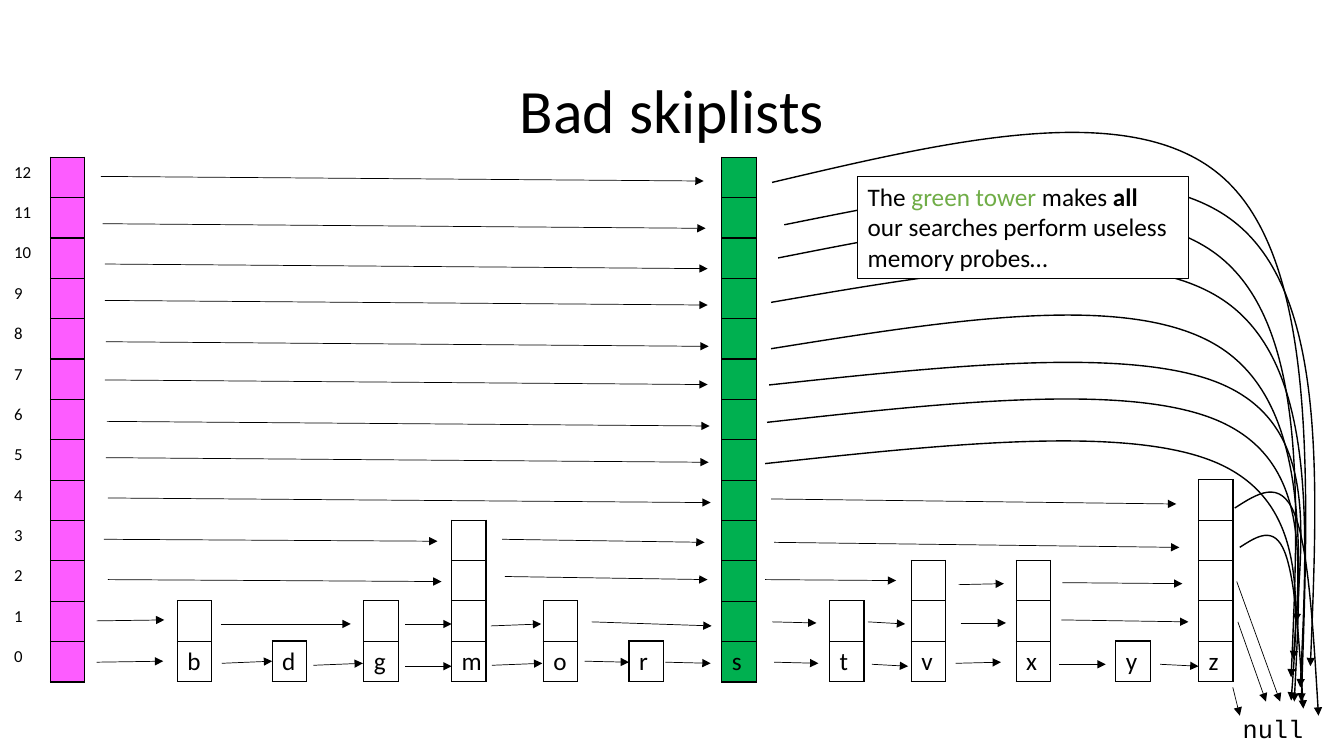
"""Build the "Bad skiplists" slide: towers, level arrows and null pointers."""
from dataclasses import dataclass
from typing import Any, NamedTuple, Optional

from lxml import etree
from pptx import Presentation
from pptx.dml import color
from pptx.enum import shapes, text
from pptx.oxml import ns
from pptx.util import Pt


@dataclass(frozen=True)
class Theme:
    ink: color.RGBColor = color.RGBColor(0, 0, 0)
    paper: color.RGBColor = color.RGBColor(255, 255, 255)
    head: color.RGBColor = color.RGBColor(0xFD, 0x5C, 0xFF)
    bad: color.RGBColor = color.RGBColor(0x00, 0xB0, 0x50)
    accent: color.RGBColor = color.RGBColor(0x70, 0xAD, 0x47)
    sans: str = "Calibri"
    mono: str = "Courier New"
    title: float = 44
    body: float = 18
    level: float = 12
    thin: float = 0.5
    frame: float = 0.75
    thick: float = 1


class Point(NamedTuple):
    x: float
    y: float


class Box(NamedTuple):
    left: float
    top: float
    width: float
    height: float


class Tower(NamedTuple):
    key: str
    left: float
    levels: int
    fill: Optional[color.RGBColor] = None


class Arrow(NamedTuple):
    x1: float
    y1: float
    x2: float
    y2: float


class Arc(NamedTuple):
    start: Point
    rise: Point
    fall: Point
    end: Point


THEME = Theme()
LEVELS, CELL_HEIGHT, CELL_WIDTH, BASE = 13, 28.8, 24.6, 486.7
LABEL_LEFT, LABEL_WIDTH = 2.9, 33.1
SIDES = ("a:lnL", "a:lnR", "a:lnT", "a:lnB")

TOWERS = [
    Tower("b", 126.7, 2), Tower("d", 194.4, 1), Tower("g", 259.9, 2),
    Tower("m", 322.6, 4), Tower("o", 388.1, 2), Tower("r", 449.3, 1),
    Tower("s", 515.5, LEVELS, THEME.bad), Tower("t", 592.6, 2),
    Tower("v", 650.9, 3), Tower("x", 725.8, 3), Tower("y", 797, 1),
    Tower("z", 856.1, 5),
]
LEVEL_0 = [
    Arrow(69.1, 473, 116.6, 472.3), Arrow(158.4, 473.8, 194.4, 472.3),
    Arrow(223.9, 475.2, 259.2, 473.8), Arrow(289.4, 475.9, 322.6, 475.9),
    Arrow(351.4, 475.2, 387.4, 473.8), Arrow(417.6, 472.3, 449.3, 473),
    Arrow(475.2, 473, 507.6, 473.8), Arrow(553, 473, 584.6, 473.8),
    Arrow(622.8, 474.5, 648.7, 475.9), Arrow(682.6, 473.8, 715, 473),
    Arrow(756.7, 474.5, 789.8, 474.5), Arrow(828.7, 474.5, 856.1, 475.9),
]
LEVEL_1 = [
    Arrow(69.1, 443.5, 117.4, 442.8), Arrow(157.7, 445.7, 250.6, 445.7),
    Arrow(289.4, 445.7, 322.6, 445.7), Arrow(350.6, 447.1, 386.6, 445.7),
    Arrow(422.6, 444.2, 508.3, 447.1), Arrow(551.5, 444.2, 583.2, 445),
    Arrow(619.9, 444.2, 646.6, 445.7), Arrow(686.2, 445, 718.6, 445),
    Arrow(758.2, 442.8, 848.9, 444.2),
]
LEVELS_2_TO_4 = [
    Arrow(77, 414, 315.4, 415.4), Arrow(360.7, 411.8, 505.4, 414),
    Arrow(546.5, 414, 640.1, 414.7), Arrow(684.7, 417.6, 717.1, 416.9),
    Arrow(758.9, 416.2, 844.6, 416.9), Arrow(74.2, 385.2, 312.5, 386.6),
    Arrow(358.6, 385.2, 503.3, 387.4), Arrow(553, 387.4, 842.4, 391),
    Arrow(550.8, 356.4, 840.2, 360),
]
Z_TO_NULL = [
    Arrow(880.6, 491, 885.6, 511.2), Arrow(884.2, 444.2, 904.3, 501.1),
    Arrow(883.4, 415.4, 914.4, 501.1),
]
EXPRESS_RUN = Point(430.6, 3.3)
EXPRESS_STARTS = [
    Point(77, 355.7), Point(75.6, 326.9), Point(76.3, 301), Point(74.9, 271.4),
    Point(75.6, 244.1), Point(74.9, 214.6), Point(74.9, 188.6),
    Point(73.4, 159.8), Point(72, 126),
]
EXPRESS = [Arrow(x, y, x + EXPRESS_RUN.x, y + EXPRESS_RUN.y) for x, y in EXPRESS_STARTS]
ARCS = [
    Arc(Point(885.6, 391), Point(910.1, 375.1), Point(925.2, 413.3), Point(931, 506.2)),
    Arc(Point(882, 362.9), Point(914.4, 342), Point(934.6, 391), Point(941.8, 511.2)),
    Arc(Point(546.5, 331.2), Point(807.8, 303.1), Point(933.1, 359.3), Point(922.3, 500.4)),
    Arc(Point(547.9, 301.7), Point(809.3, 272.9), Point(934.6, 329.8), Point(923.8, 470.9)),
    Arc(Point(549.4, 275), Point(811.4, 247), Point(936.7, 303.1), Point(925.9, 444.2)),
    Arc(Point(550.8, 249.1), Point(810.7, 207.4), Point(935.3, 290.9), Point(924.5, 501.1)),
    Arc(Point(550.8, 216), Point(813.6, 170.6), Point(939.6, 262.1), Point(928.8, 491)),
    Arc(Point(555.8, 184.3), Point(810.7, 133.9), Point(933.1, 234), Point(922.3, 483.8)),
    Arc(Point(560.2, 160.6), Point(821.5, 108), Point(946.8, 213.1), Point(936, 475.9)),
    Arc(Point(551.5, 130.3), Point(814.3, 68.4), Point(940.3, 192.2), Point(929.5, 501.1)),
]


def assign(target: Any, values: dict[str, Any]) -> None:
    for name, value in values.items():
        setattr(target, name, value)


def write(paragraph: Any, words: str, size: float, ink: color.RGBColor = THEME.ink,
          face: str = THEME.sans, bold: bool = False) -> None:
    run = paragraph.add_run()
    run.text = words
    assign(run.font, {"size": Pt(size), "name": face, "bold": bold})
    run.font.color.rgb = ink


def stroke(line: Any, width: float) -> None:
    line.color.rgb = THEME.ink
    line.width = Pt(width)


def point_to(shape: Any) -> None:
    outline = shape.line._get_or_add_ln()
    etree.SubElement(outline, ns.qn("a:tailEnd"), type="triangle")


def style_cell(cell: Any, words: str, size: float, fill: Optional[color.RGBColor],
               sides: tuple[str, ...] = SIDES) -> None:
    properties = cell._tc.get_or_add_tcPr()
    for side in sides:
        border = etree.SubElement(properties, ns.qn(side), w=str(Pt(THEME.thick)))
        solid = etree.SubElement(border, ns.qn("a:solidFill"))
        etree.SubElement(solid, ns.qn("a:srgbClr"), val=str(THEME.ink))
    if fill is None:
        cell.fill.background()
    else:
        cell.fill.solid()
        cell.fill.fore_color.rgb = fill
    if words:
        write(cell.text_frame.paragraphs[0], words, size)


def add_grid(slide: Any, left: float, levels: int, widths: list[float]) -> Any:
    height = levels * CELL_HEIGHT
    grid = slide.shapes.add_table(levels, len(widths), Pt(left), Pt(BASE - height),
                                  Pt(sum(widths)), Pt(height)).table
    assign(grid, {"first_row": False, "horz_banding": False})
    for column, width in zip(grid.columns, widths):
        column.width = Pt(width)
    return grid


def draw_head(slide: Any) -> None:
    grid = add_grid(slide, LABEL_LEFT, LEVELS, [LABEL_WIDTH, CELL_WIDTH])
    for row in range(LEVELS):
        style_cell(grid.cell(row, 0), str(LEVELS - 1 - row), THEME.level, None, ("a:lnR",))
        style_cell(grid.cell(row, 1), "", THEME.body, THEME.head)


def draw_tower(slide: Any, tower: Tower) -> None:
    grid = add_grid(slide, tower.left, tower.levels, [CELL_WIDTH])
    for row in range(tower.levels):
        key = tower.key if row == tower.levels - 1 else ""
        style_cell(grid.cell(row, 0), key, THEME.body, tower.fill)


def draw_arrow(slide: Any, arrow: Arrow) -> None:
    link = slide.shapes.add_connector(shapes.MSO_CONNECTOR.STRAIGHT, *map(Pt, arrow))
    stroke(link.line, THEME.thin)
    point_to(link)
    etree.SubElement(link._element.spPr, ns.qn("a:effectLst"))


def midpoint(a: Point, b: Point) -> Point:
    return Point((a.x + b.x) / 2, (a.y + b.y) / 2)


def bezier(a: Point, b: Point, c: Point, d: Point, t: float) -> Point:
    s = 1 - t
    weights = (s**3, 3 * s * s * t, 3 * s * t * t, t**3)
    return Point(*(sum(w * v for w, v in zip(weights, axis)) for axis in zip(a, b, c, d)))


def draw_arc(slide: Any, arc: Arc) -> None:
    crest = midpoint(arc.rise, arc.fall)
    halves = [(arc.start, midpoint(arc.start, arc.rise), arc.rise, crest),
              (crest, arc.fall, midpoint(arc.fall, arc.end), arc.end)]
    trace = [bezier(*half, step / 20) for half in halves for step in range(1, 21)]
    builder = slide.shapes.build_freeform(Pt(arc.start.x), Pt(arc.start.y))
    builder.add_line_segments([(Pt(x), Pt(y)) for x, y in trace], close=False)
    curve = builder.convert_to_shape()
    outline = curve._element.find(".//" + ns.qn("a:path"))
    for segment in outline.findall(ns.qn("a:lnTo")):
        outline.remove(segment)
    for half in halves:
        segment = etree.SubElement(outline, ns.qn("a:cubicBezTo"))
        for x, y in half[1:]:
            etree.SubElement(segment, ns.qn("a:pt"),
                             x=str(Pt(x) - curve.left), y=str(Pt(y) - curve.top))
    curve.fill.background()
    curve.shadow.inherit = False
    stroke(curve.line, THEME.thick)
    point_to(curve)


def add_words(slide: Any, box: Box, frame_format: dict[str, Any]) -> Any:
    holder = slide.shapes.add_textbox(*map(Pt, box))
    assign(holder.text_frame, {"word_wrap": True, **frame_format})
    return holder


def draw_callout(slide: Any) -> None:
    callout = add_words(slide, Box(612.7, 126, 236.2, 72.7),
                        {"auto_size": text.MSO_AUTO_SIZE.SHAPE_TO_FIT_TEXT})
    callout.fill.solid()
    callout.fill.fore_color.rgb = THEME.paper
    stroke(callout.line, THEME.frame)
    message = callout.text_frame.paragraphs[0]
    write(message, "The ", THEME.body)
    write(message, "green tower ", THEME.body, THEME.accent)
    write(message, "makes ", THEME.body)
    write(message, "all ", THEME.body, bold=True)
    write(message, "our searches perform useless memory probes…", THEME.body)


def main() -> None:
    deck = Presentation()
    assign(deck, {"slide_width": Pt(960), "slide_height": Pt(540)})
    slide = deck.slides.add_slide(deck.slide_layouts[6])
    title = add_words(slide, Box(66.2, 28.8, 828, 104.4),
                      {"vertical_anchor": text.MSO_ANCHOR.MIDDLE})
    heading = title.text_frame.paragraphs[0]
    assign(heading, {"alignment": text.PP_ALIGN.CENTER, "line_spacing": 0.9})
    write(heading, "Bad skiplists", THEME.title)
    draw_head(slide)
    for tower in TOWERS:
        draw_tower(slide, tower)
    null = add_words(slide, Box(880.6, 506.2, 60.5, 28.8),
                     {"auto_size": text.MSO_AUTO_SIZE.SHAPE_TO_FIT_TEXT})
    write(null.text_frame.paragraphs[0], "null", THEME.body, face=THEME.mono)
    for arrow in LEVEL_0 + LEVEL_1 + LEVELS_2_TO_4 + Z_TO_NULL + EXPRESS:
        draw_arrow(slide, arrow)
    for arc in ARCS:
        draw_arc(slide, arc)
    draw_callout(slide)
    deck.save("out.pptx")


if __name__ == "__main__":
    main()
